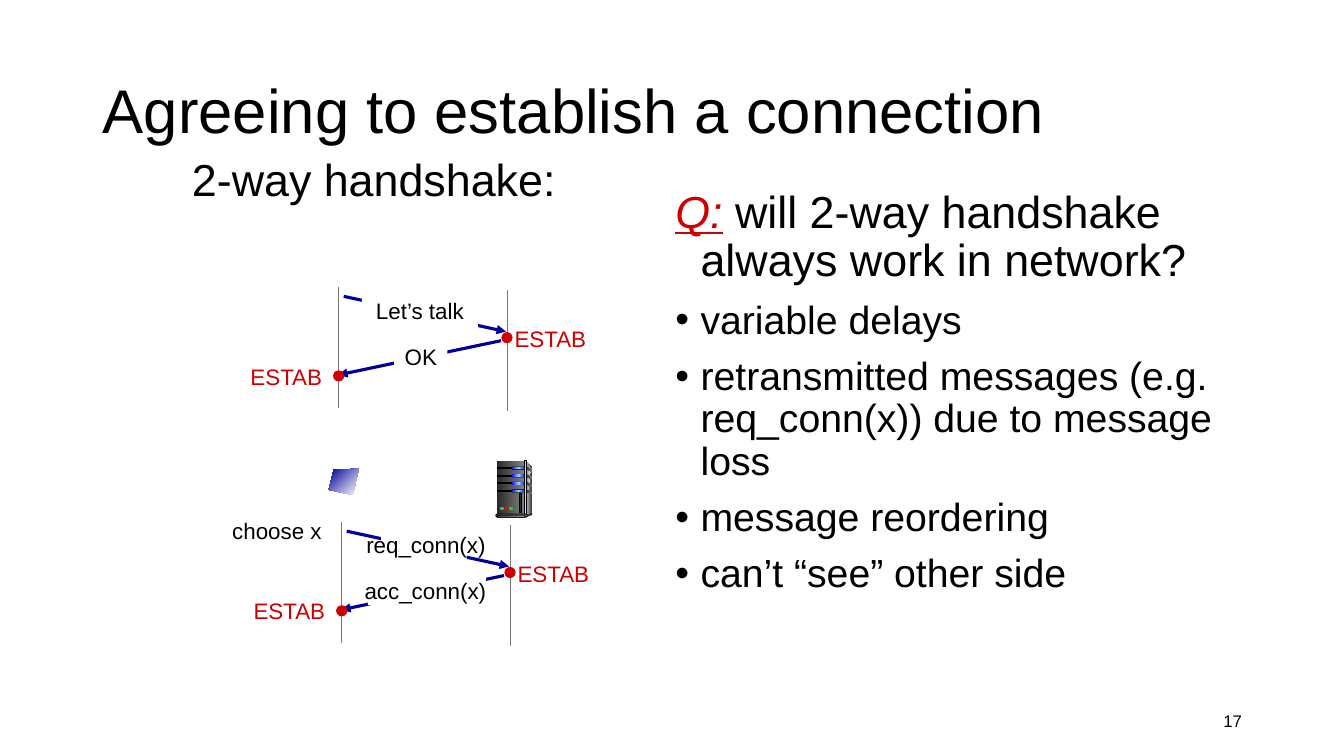
import copy
from dataclasses import dataclass

import lxml.etree
import pptx
import pptx.dml.color
import pptx.enum.shapes
import pptx.enum.text
import pptx.oxml.ns
import pptx.util

SHAPE = pptx.enum.shapes.MSO_SHAPE
ALIGN = pptx.enum.text.PP_ALIGN
ANCHOR = pptx.enum.text.MSO_ANCHOR
AUTO_SIZE = pptx.enum.text.MSO_AUTO_SIZE
qn = pptx.oxml.ns.qn

CELL = pptx.util.Inches(0.1)
COLUMNS, ROWS = 133.33, 75
LIFELINE_GAP, LIFELINE_DROP, LIFELINE_LENGTH = 16.7, 0.3, 12


@dataclass(frozen=True)
class Theme:
    font: str = "Arial"
    ink: str = "000000"
    accent: str = "CC0000"
    arrow: str = "000099"
    lifeline: str = "777777"
    paper: str = "FFFFFF"
    title: int = 44
    heading: int = 32
    bullet: int = 28
    label: int = 16
    number: int = 12
    thin: float = 0.75
    thick: float = 2.25
    case: tuple = ("292929", "808080")
    edge: tuple = ("808080", "F8F8F8")
    side: tuple = ("DDDDDD", "333333")
    corner: tuple = ("333333", "DDDDDD", "333333")
    display: tuple = ("0000FF", "99CCFF", "0000FF")
    base: tuple = ("44546A", "E7E6E6")
    screen: tuple = ("000099", "FFFFFF")
    dark: str = "333333"
    light: str = "DDDDDD"
    green: str = "33CC33"
    red: str = "FF0000"


THEME = Theme()


def grid(*cells):
    """Turn counts of grid cells into lengths."""
    return [pptx.util.Emu(round(cell * CELL)) for cell in cells]


def rgb(colour):
    return pptx.dml.color.RGBColor.from_string(colour)


def style_run(span, size, colour=THEME.ink):
    span.font.name = THEME.font
    span.font.size = pptx.util.Pt(size)
    span.font.color.rgb = rgb(colour)


def paint(shape, fill, outline=None, angle=0):
    """Fill with one colour, or with a gradient of evenly spaced colours."""
    shape.shadow.inherit = False
    if isinstance(fill, str):
        shape.fill.solid()
        shape.fill.fore_color.rgb = rgb(fill)
    else:
        shape.fill.gradient()
        shape.fill.gradient_angle = (360 - angle) % 360
        stop_list = next(shape.element.spPr.iter(qn("a:gsLst")))
        while len(stop_list) < len(fill):
            stop_list.append(copy.deepcopy(stop_list[-1]))
        for index, stop in enumerate(shape.fill.gradient_stops):
            stop.position = index / (len(fill) - 1)
            stop.color.rgb = rgb(fill[index])
    if outline:
        shape.line.color.rgb = rgb(outline)
        shape.line.width = pptx.util.Pt(THEME.thin)
    else:
        shape.line.fill.background()


def add_block(shapes, kind, place, fill, outline=None):
    block = shapes.add_shape(kind, *grid(*place))
    if kind == SHAPE.ROUNDED_RECTANGLE:
        block.adjustments[0] = 0.5
    paint(block, fill, outline)


def add_polygon(shapes, points, fill, angle=0):
    start, *rest = [grid(*point) for point in points]
    builder = shapes.build_freeform(*start)
    builder.add_line_segments(rest, close=True)
    paint(builder.convert_to_shape(), fill, angle=angle)


def add_label(page, text, place, size=THEME.label, colour=THEME.ink,
              align=ALIGN.CENTER, anchor=ANCHOR.TOP, wrap=False):
    box = page.shapes.add_textbox(*grid(*place))
    frame = box.text_frame
    frame.text = text
    frame.word_wrap = wrap
    frame.vertical_anchor = anchor
    para = frame.paragraphs[0]
    para.alignment = align
    style_run(para.runs[0], size, colour)


def add_line(page, start, end, colour, width, arrow=False):
    line = page.shapes.add_connector(
        pptx.enum.shapes.MSO_CONNECTOR.STRAIGHT, *grid(*start, *end))
    line.line.color.rgb = rgb(colour)
    line.line.width = pptx.util.Pt(width)
    if arrow:
        outline = line.line._get_or_add_ln()
        lxml.etree.SubElement(outline, qn("a:tailEnd"), type="triangle")
    lxml.etree.SubElement(line.element.spPr, qn("a:effectLst"))


def add_handshake(page, left, top, messages, masks):
    """Draw two lifelines, a request, a reply and both ESTAB states."""
    def at(across, down):
        return left + across, top + down

    for start in (at(0, 0), at(LIFELINE_GAP, LIFELINE_DROP)):
        add_line(page, start, (start[0], start[1] + LIFELINE_LENGTH),
                 THEME.lifeline, THEME.thin)
    for start, end in ((at(0.5, 0.9), at(16.6, 4.4)),
                       (at(16.1, 5.3), at(-0.05, 8.7))):
        add_line(page, start, end, THEME.arrow, THEME.thick, arrow=True)
    for place in masks:
        add_block(page.shapes, SHAPE.RECTANGLE, place, THEME.paper)
    for text, place in messages:
        add_label(page, text, place)
    for dot, state in ((at(-0.5, 8.3), at(-9.8, 7)),
                       (at(16.2, 4.5), at(16.4, 3.3))):
        add_label(page, "ESTAB", (*state, 9.2, 3.7), colour=THEME.accent)
        add_block(page.shapes, SHAPE.OVAL, (*dot, 1, 1), THEME.accent, THEME.accent)


def add_server(page):
    parts = page.shapes.add_group_shape().shapes
    box, pill, lamp = SHAPE.RECTANGLE, SHAPE.ROUNDED_RECTANGLE, SHAPE.OVAL
    add_polygon(parts, [(52.2, 45.8), (52.8, 46.4), (52.8, 50.9), (52.1, 51.1)], THEME.side)
    add_block(parts, box, (49.3, 45.7, 2.7, 5.3), THEME.case)
    add_polygon(parts, [(52.2, 46.1), (52.7, 46.5), (52.4, 48.8), (52.2, 51)], THEME.edge)
    for slot in range(4):
        top = 46.3 + 0.75 * slot
        add_block(parts, box, (49.4, top + 0.1, 1.5, 0.1), THEME.ink, THEME.ink)
        add_block(parts, pill, (50.7, top, 1.5, 0.3), THEME.ink)
        add_block(parts, pill, (50.75, top + 0.02, 1.4, 0.25), THEME.display)
        add_polygon(parts, [(52.15, top), (52.8, top + 0.3), (52.8, top + 0.5),
                            (52.15, top + 0.2)], THEME.case)
    add_block(parts, box, (52, 45.7, 0.2, 5.4), THEME.corner, THEME.ink)
    add_block(parts, lamp, (52.7, 50.9, 0.1, 0.2), THEME.dark)
    add_polygon(parts, [(52.2, 51.1), (52.2, 51.3), (52.8, 51.1), (52.8, 50.9)], THEME.dark)
    add_block(parts, pill, (49.2, 51, 3.1, 0.3), THEME.light, THEME.ink)
    add_block(parts, pill, (49.3, 51.1, 2.8, 0.2), THEME.base, THEME.ink)
    for index, colour in enumerate((THEME.green, THEME.red, THEME.green)):
        add_block(parts, lamp, (49.6 + 0.45 * index, 50.3, 0.4, 0.3), colour)
    add_block(parts, box, (51.5, 49, 0.2, 1.8), THEME.case[0], THEME.ink)


def place_holder(holder, place):
    holder.left, holder.top, holder.width, holder.height = grid(*place)
    holder.text_frame.auto_size = AUTO_SIZE.NONE
    return holder.text_frame


def fill_title(page, text):
    frame = place_holder(page.shapes.title, (9.2, 4, 115, 14.5))
    frame.text = text
    frame.vertical_anchor = ANCHOR.MIDDLE
    para = frame.paragraphs[0]
    para.alignment = ALIGN.LEFT
    para.line_spacing = 0.9
    style_run(para.runs[0], THEME.title)


def fill_body(page, mark, question, bullets):
    frame = place_holder(page.placeholders[1], (66, 18.3, 61.9, 50.7))
    frame.text = "\n".join([mark, *bullets])
    frame.paragraphs[0].add_run().text = question
    for index, para in enumerate(frame.paragraphs):
        properties = para._p.get_or_add_pPr()
        indent = grid(2.5)[0]
        properties.set("marL", str(indent))
        properties.set("indent", str(-indent))
        if index:
            lxml.etree.SubElement(properties, qn("a:buChar"), char="•")
        else:
            lxml.etree.SubElement(properties, qn("a:buNone"))
        para.line_spacing = 0.9
        para.space_before = pptx.util.Pt(10 if index else 0)
        for span in para.runs:
            style_run(span, THEME.bullet if index else THEME.heading)
    lead = frame.paragraphs[0].runs[0]
    style_run(lead, THEME.heading, THEME.accent)
    lead.font.italic = lead.font.underline = True


def main():
    deck = pptx.Presentation()
    deck.slide_width, deck.slide_height = grid(COLUMNS, ROWS)
    page = deck.slides.add_slide(deck.slide_layouts[1])
    fill_title(page, "Agreeing to establish a connection")
    fill_body(page, "Q:", " will 2-way handshake always work in network?", [
        "variable delays",
        "retransmitted messages (e.g. req_conn(x)) due to message loss",
        "message reordering", "can’t “see” other side"])
    add_label(page, "17", (94.2, 69.5, 30, 4), THEME.number,
              align=ALIGN.RIGHT, anchor=ANCHOR.MIDDLE, wrap=True)
    add_label(page, "2-way handshake:", (17.9, 14.6, 38.4, 6.4), THEME.heading)
    talk, reply = (35.9, 29, 11.5, 3.7), (39.1, 33.6, 5.3, 3.7)
    add_handshake(page, 33.6, 28.5, [("Let’s talk", talk), ("OK", reply)], [talk, reply])
    add_label(page, "choose x", (21.9, 50.8, 11, 6.4), align=ALIGN.RIGHT)
    add_handshake(page, 33.9, 51.8,
                  [("req_conn(x)", (35.3, 52.2, 13.9, 3.7)),
                   ("acc_conn(x)", (35.1, 56.8, 14.2, 3.7))],
                  [(37.8, 52.5, 8.5, 3.6), (39.8, 57.2, 4.8, 3.6), (36.5, 57.2, 11.7, 2.8)])
    add_polygon(page.shapes, [(35.6, 46.5), (33.1, 46.6), (32.6, 48.6), (35, 49.1)],
                THEME.screen, angle=45)
    add_server(page)
    deck.save("out.pptx")


if __name__ == "__main__":
    main()
